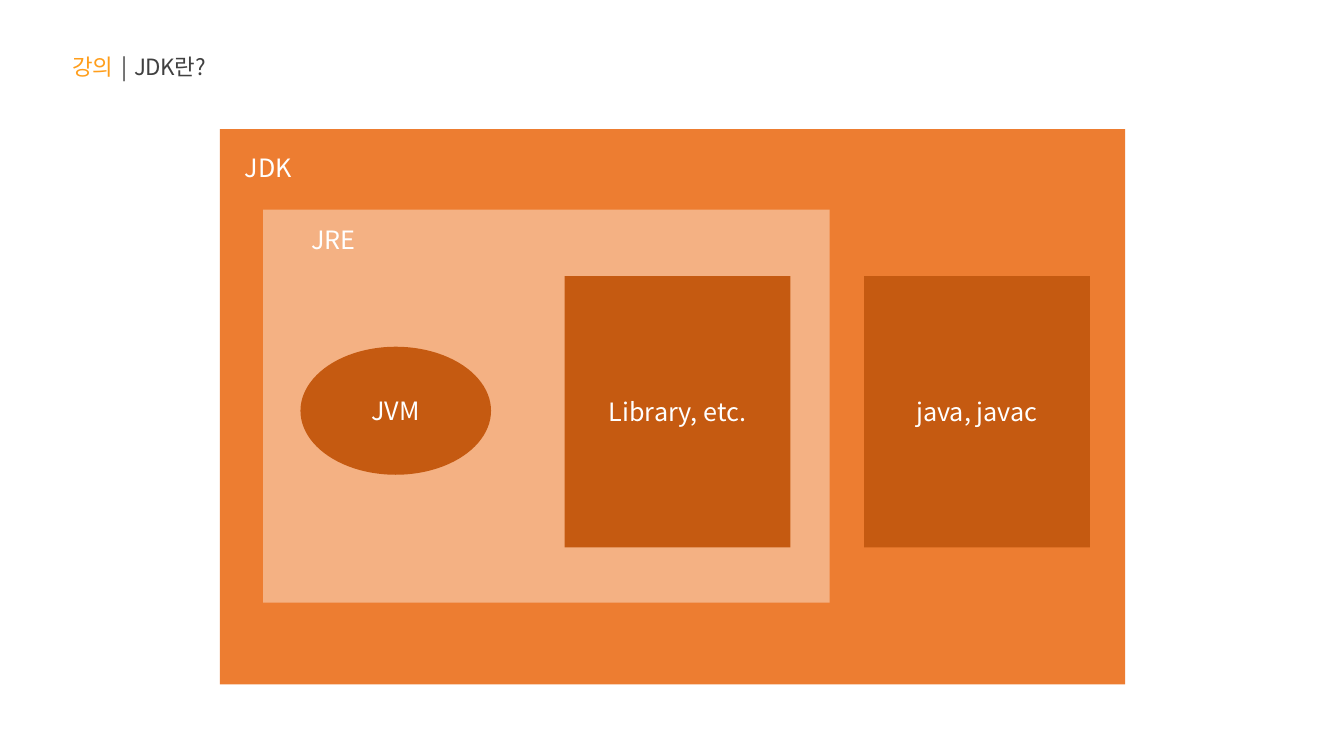
from lxml.etree import SubElement
from pptx import Presentation
from pptx.dml.color import RGBColor
from pptx.enum.shapes import MSO_SHAPE as Shape
from pptx.enum.text import MSO_ANCHOR as Anchor, PP_ALIGN as Align
from pptx.oxml.ns import qn
from pptx.util import Inches, Pt

FONT = "Noto Sans CJK KR"
COLORS = {
    "jdk": "ED7D31",
    "jre": "F4B183",
    "part": "C55A11",
    "label": "FFFFFF",
    "section": "FF9E1B",
    "title": "404040",
}


def add_run(paragraph, text, size, color):
    """Add a run whose Latin and Korean glyphs share one font."""
    run = paragraph.add_run()
    run.text = text
    run.font.size = Pt(size)
    run.font.name = FONT
    run.font.color.rgb = RGBColor.from_string(COLORS[color])
    properties = run._r.get_or_add_rPr()
    SubElement(properties, qn("a:ea"), typeface=FONT)
    return properties


def add_block(kind, box, color, text=None):
    shape = slide.shapes.add_shape(kind, *map(Inches, box))
    shape.shadow.inherit = False
    shape.fill.solid()
    shape.fill.fore_color.rgb = RGBColor.from_string(COLORS[color])
    shape.line.fill.background()
    if text:
        shape.text_frame.vertical_anchor = Anchor.MIDDLE
        paragraph = shape.text_frame.paragraphs[0]
        paragraph.alignment = Align.CENTER
        add_run(paragraph, text, 18, "label")


presentation = Presentation()
presentation.slide_width = Inches(13.33)
presentation.slide_height = Inches(7.5)
slide = presentation.slides.add_slide(presentation.slide_layouts[6])

# Heading
heading = slide.shapes.add_textbox(Inches(0.62), Inches(0.48), Inches(5.15), Inches(0.37))
heading.text_frame.word_wrap = True
for text, color in [("강의  ", "section"), ("|  JDK란?", "title")]:
    properties = add_run(heading.text_frame.paragraphs[0], text, 16, color)
    properties.set("spc", "-60")

# Nested containers, each with its label
containers = [
    ("JDK", "jdk", (2.18, 1.28, 8.98, 5.51), (2.33, 1.46, 0.74, 0.4), True),
    ("JRE", "jre", (2.61, 2.08, 5.62, 3.9), (2.99, 2.18, 0.69, 0.51), False),
]
for name, color, box, label_box, wrap in containers:
    add_block(Shape.RECTANGLE, box, color)
    label = slide.shapes.add_textbox(*map(Inches, label_box))
    label.text_frame.word_wrap = wrap
    add_run(label.text_frame.paragraphs[0], name, 18, "label")

# Components
add_block(Shape.OVAL, (2.98, 3.44, 1.89, 1.27), "part", "JVM")
for text, left in [("Library, etc.", 5.6), ("java, javac", 8.57)]:
    add_block(Shape.RECTANGLE, (left, 2.74, 2.24, 2.69), "part", text)

presentation.save("out.pptx")
